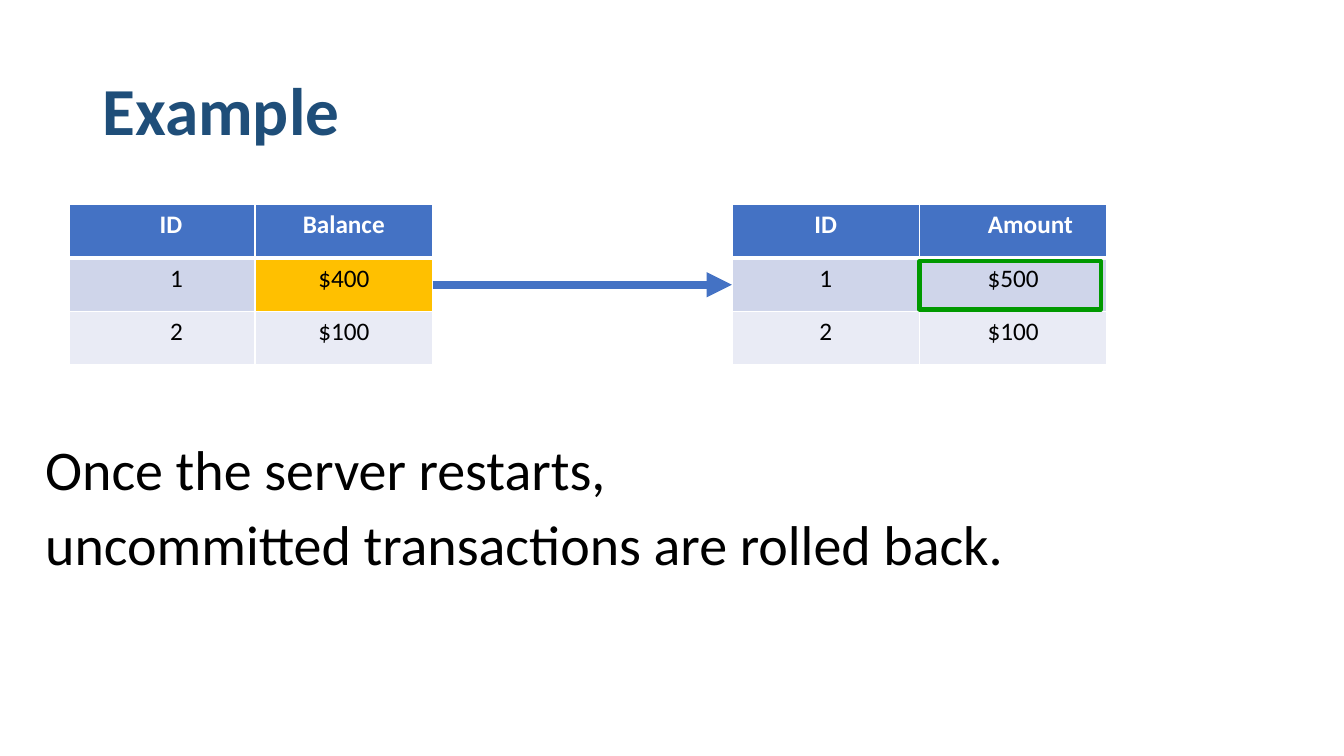
import pptx
import pptx.util
import pptx.dml.color
import pptx.enum.shapes
import pptx.enum.text
import pptx.oxml
from lxml import etree

Inches, Pt = pptx.util.Inches, pptx.util.Pt
RGBColor = pptx.dml.color.RGBColor
MID = pptx.enum.text.MSO_ANCHOR.MIDDLE
CENTER = pptx.enum.text.PP_ALIGN.CENTER

# Content
TITLE = "Example"
BODY = ["Once the server restarts,", "uncommitted transactions are rolled back."]
TABLES = [
    {"left": 7.26, "cols": [1.86, 1.86],
     "rows": [["ID", "Amount"], ["1", "$500"], ["2", "$100"]],
     "shift": {(0, 1): 0.34}, "marks": {}},
    {"left": 0.69, "cols": [1.84, 1.76],
     "rows": [["ID", "Balance"], ["1", "$400"], ["2", "$100"]],
     "shift": {(0, 0): 0.17, (1, 0): 0.28, (2, 0): 0.28},
     "marks": {(1, 1): RGBColor(0xFF, 0xC0, 0x00)}},
]
TOP, ROW = 2.03, 0.53
INSET = 0.1
FONT = "Calibri"

# Colours
NAVY = RGBColor(0x1F, 0x4E, 0x79)
BLUE = RGBColor(0x44, 0x72, 0xC4)
GREEN = RGBColor(0x00, 0x99, 0x00)
BLACK = RGBColor(0, 0, 0)
WHITE = RGBColor(0xFF, 0xFF, 0xFF)
FILLS = [BLUE, RGBColor(0xCF, 0xD5, 0xEA), RGBColor(0xE9, 0xEB, 0xF5)]


def style(para, size, color, bold=False):
    font = para.runs[0].font
    font.name, font.size, font.bold = FONT, Pt(size), bold
    font.color.rgb = color


def add_text(slide, box, lines, size, color, bold=False, anchor=None):
    frame = slide.shapes.add_textbox(*map(Inches, box)).text_frame
    frame.word_wrap = True
    frame.vertical_anchor = anchor
    frame.text = "\n".join(lines)
    for i, para in enumerate(frame.paragraphs):
        para.line_spacing = 0.9
        para.space_before = Pt(10 if i else 0)
        style(para, size, color, bold)


def add_edges(cell, row):
    props = cell._tc.get_or_add_tcPr()
    widths = {"L": 1, "R": 1, "T": 3 if row == 1 else 1, "B": 1 if row else 3}
    for i, (side, width) in enumerate(widths.items()):
        props.insert(i, pptx.oxml.parse_xml(
            f'<a:ln{side} xmlns:a="http://schemas.openxmlformats.org/drawingml/2006/main"'
            f' w="{Pt(width)}"><a:solidFill><a:srgbClr val="{WHITE}"/>'
            f'</a:solidFill></a:ln{side}>'))


def add_grid(slide, data):
    rows, cols = data["rows"], data["cols"]
    grid = slide.shapes.add_table(
        len(rows), len(cols), Inches(data["left"]), Inches(TOP),
        Inches(sum(cols)), Inches(ROW * len(rows))).table
    grid.horz_banding = False
    for c, width in enumerate(cols):
        grid.columns[c].width = Inches(width)
    for r, row in enumerate(rows):
        for c, text in enumerate(row):
            cell = grid.cell(r, c)
            cell.text = text
            cell.margin_left = Inches(INSET + data["shift"].get((r, c), 0))
            cell.fill.solid()
            cell.fill.fore_color.rgb = data["marks"].get((r, c), FILLS[r])
            para = cell.text_frame.paragraphs[0]
            para.alignment = CENTER
            style(para, 18, BLACK if r else WHITE, r == 0)
            add_edges(cell, r)


def main():
    deck = pptx.Presentation()
    deck.slide_width, deck.slide_height = Inches(13.33), Inches(7.5)
    slide = deck.slides.add_slide(deck.slide_layouts[6])

    # Title and message
    add_text(slide, (0.92, 0.4, 11.5, 1.45), [TITLE], 48, NAVY, True, MID)
    add_text(slide, (0.35, 4.34, 12.06, 2.42), BODY, 40, BLACK)

    # Tables
    for data in TABLES:
        add_grid(slide, data)

    # Arrow from the changed balance to the other table
    after, before = TABLES
    start = before["left"] + sum(before["cols"])
    mid = TOP + 1.5 * ROW
    arrow = slide.shapes.add_connector(
        pptx.enum.shapes.MSO_CONNECTOR.STRAIGHT,
        Inches(start), Inches(mid), Inches(after["left"]), Inches(mid))
    arrow.line.color.rgb = BLUE
    arrow.line.width = Pt(6)
    space = pptx.oxml.ns.qn
    etree.SubElement(arrow.line._get_or_add_ln(), space("a:tailEnd"), type="triangle")
    etree.SubElement(arrow._element.spPr, space("a:effectLst"))

    # Frame around the restored amount
    frame = slide.shapes.add_shape(
        pptx.enum.shapes.MSO_SHAPE.RECTANGLE,
        Inches(after["left"] + after["cols"][0]), Inches(2.59),
        Inches(1.8), Inches(0.48))
    frame.shadow.inherit = False
    frame.fill.background()
    frame.line.color.rgb = GREEN
    frame.line.width = Pt(3)

    deck.save("out.pptx")


if __name__ == "__main__":
    main()
